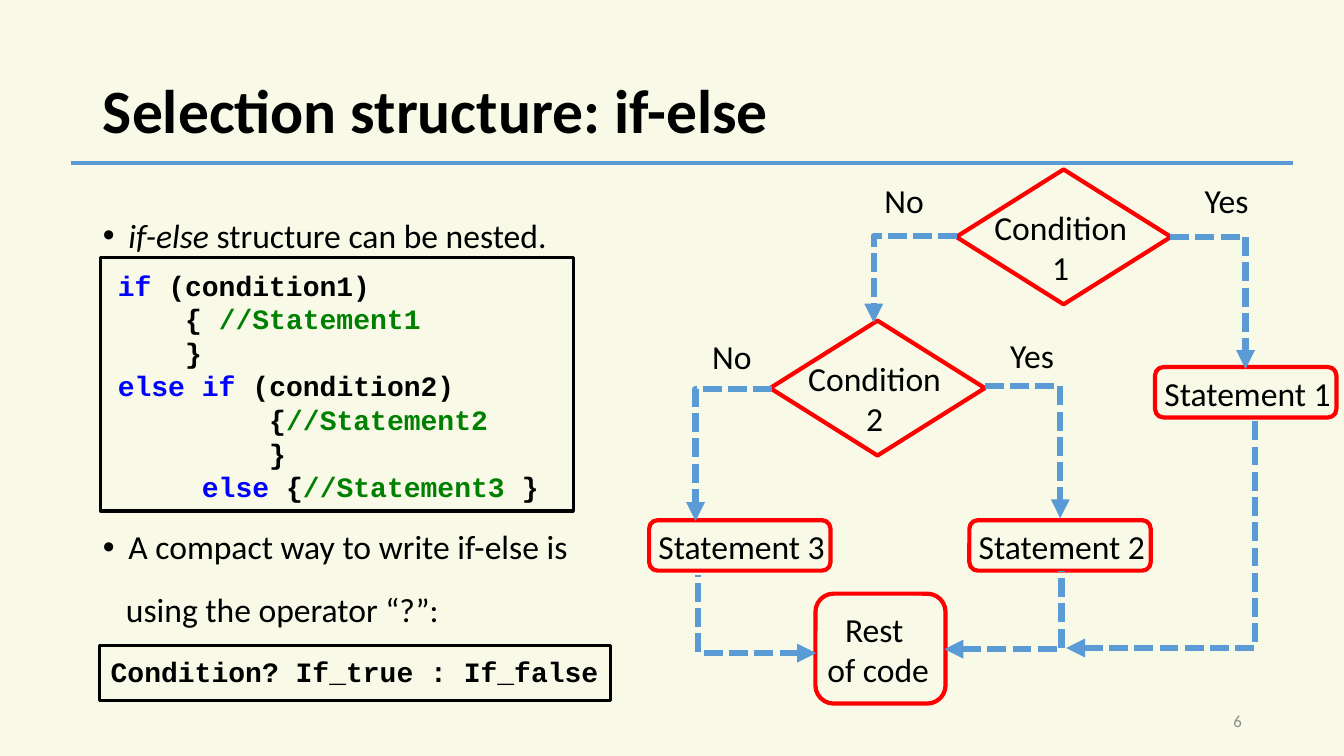
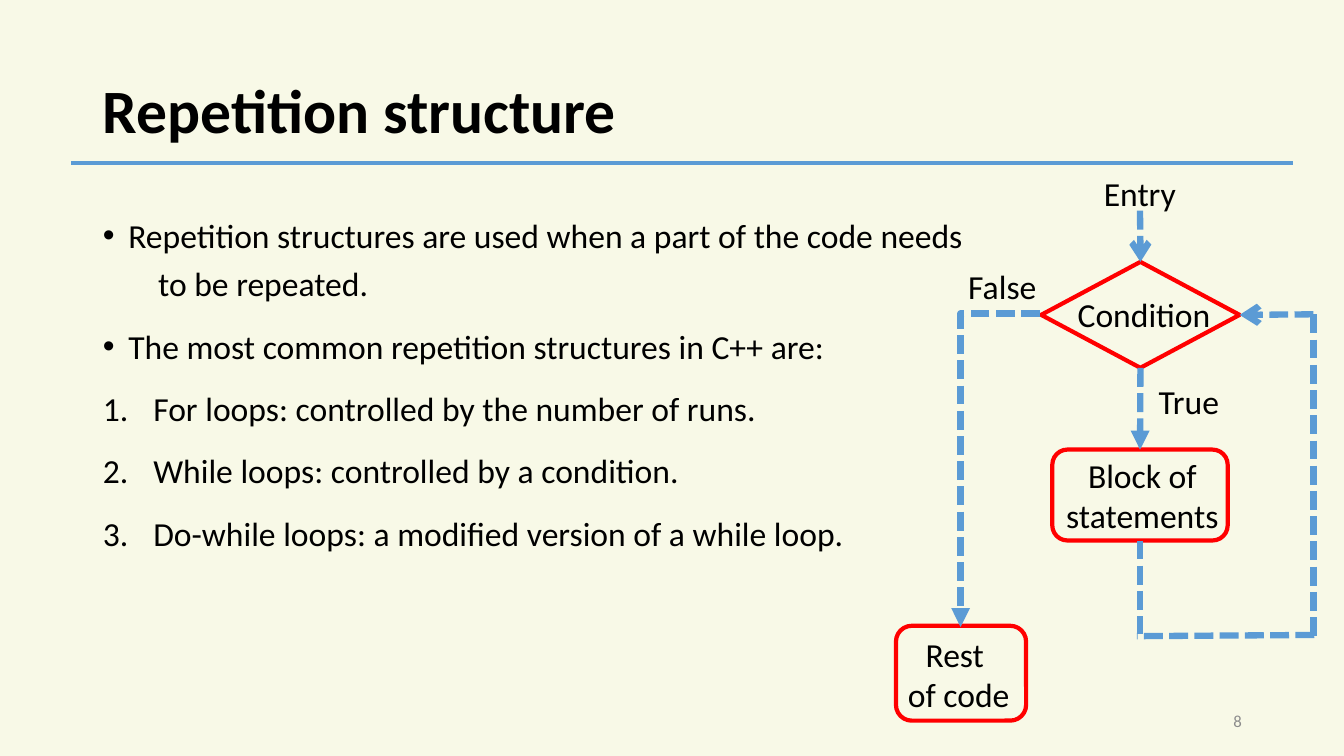
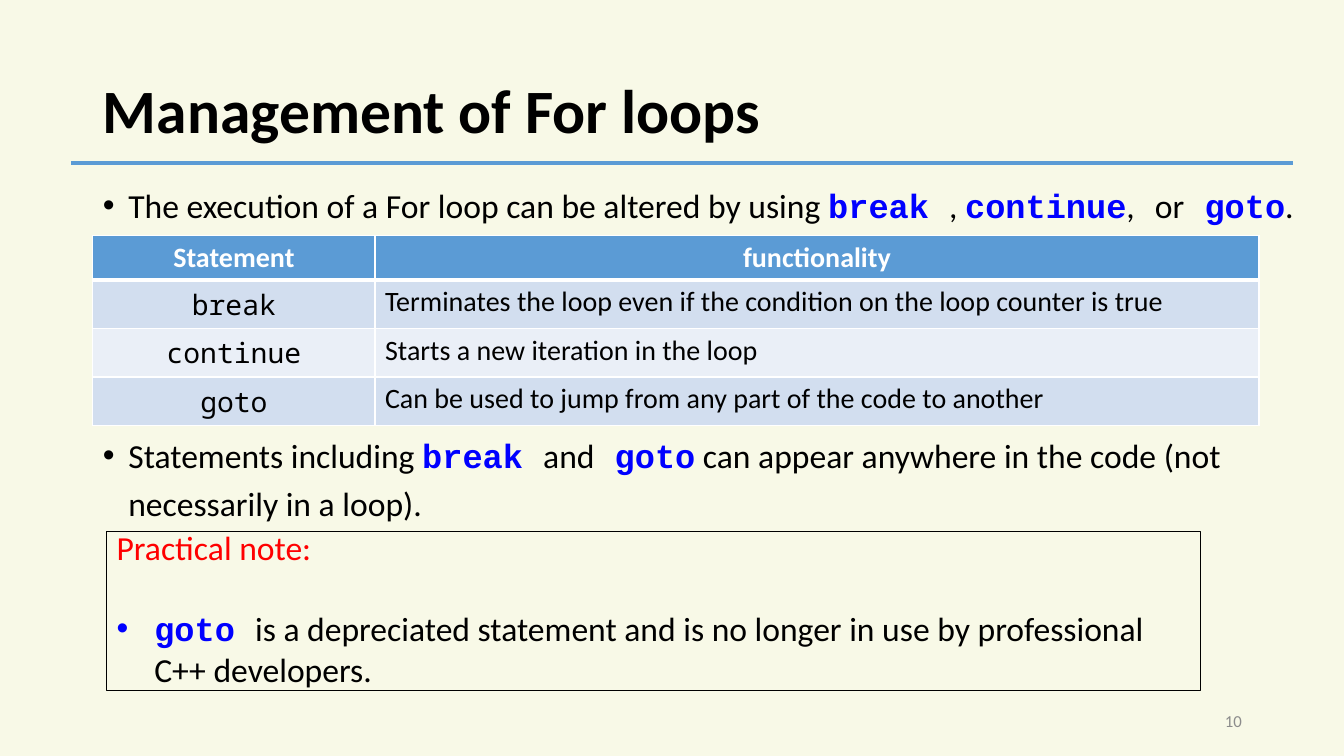
from dataclasses import dataclass

from lxml import etree
from pptx import Presentation
from pptx.dml.color import RGBColor
from pptx.enum.dml import MSO_LINE
from pptx.enum.shapes import MSO_CONNECTOR, MSO_SHAPE
from pptx.enum.text import MSO_ANCHOR, MSO_AUTO_SIZE, PP_ALIGN
from pptx.oxml.ns import qn
from pptx.util import Cm, Pt

LEFT, MID, RIGHT = PP_ALIGN.LEFT, PP_ALIGN.CENTER, PP_ALIGN.RIGHT
RECT, ROUND = MSO_SHAPE.RECTANGLE, MSO_SHAPE.ROUNDED_RECTANGLE
TEST = MSO_SHAPE.FLOWCHART_DECISION
LINE, ELBOW = MSO_CONNECTOR.STRAIGHT, MSO_CONNECTOR.ELBOW
DASH = MSO_LINE.SQUARE_DOT
CENTER, NO_FIT = MSO_ANCHOR.MIDDLE, MSO_AUTO_SIZE.NONE


@dataclass(frozen=True)
class Theme:
    paper: str = "F8F9E7"
    ink: str = "000000"
    blue: str = "5B9BD5"
    red: str = "FF0000"
    key: str = "0000FF"
    green: str = "008000"
    gray: str = "8C8C8C"
    white: str = "FFFFFF"
    bands: tuple = ("EAEFF7", "D2DEEF")
    sans: str = "Calibri"
    mono: str = "Courier New"
    cell: str = "Noto Sans Mono"
    head: int = 44
    text: int = 24
    code: int = 20
    foot: int = 12

    def look(self, kind):
        return {
            "plain": (self.sans, self.ink, False, False),
            "slant": (self.sans, self.ink, False, True),
            "bold": (self.sans, self.ink, True, False),
            "warn": (self.sans, self.red, False, False),
            "foot": (self.sans, self.gray, False, False),
            "label": (self.sans, self.white, True, False),
            "cell": (self.cell, self.ink, False, False),
            "code": (self.mono, self.ink, True, False),
            "key": (self.mono, self.key, True, False),
            "rem": (self.mono, self.green, True, False),
        }[kind]


@dataclass
class Para:
    runs: list
    mark: str = ""
    left: float = 0
    hang: float = 0
    gap: float = 0


def dot(*runs, gap=0, left=0.64):
    return Para(list(runs), "•", left, left, gap)


def step(text):
    return Para([(text, "plain")], "num", 1.27, 1.27, 10)


def rgb(code):
    return RGBColor.from_string(code)


def add(parent, tag, **attrs):
    return etree.SubElement(parent, qn(tag), attrs)


class Deck:
    def __init__(self, theme):
        self.theme = theme
        self.prs = Presentation()
        self.prs.slide_width, self.prs.slide_height = Cm(33.87), Cm(19.05)
        fill = self.prs.slide_master.background.fill
        fill.solid()
        fill.fore_color.rgb = rgb(theme.paper)
        self.slide = None

    def page(self, title, num):
        look = self.theme
        self.slide = self.prs.slides.add_slide(self.prs.slide_layouts[1])
        head = self.slide.shapes.title
        self.place(head, 2.34, 1.02, 29.21, 3.68)
        head.text_frame.vertical_anchor = CENTER
        self.put(head, [Para([(title, "bold")])], look.head, lead=0.9)
        self.line((1.8, 4.11), (32.59, 4.11), wide=3, dash=None)
        foot = self.label(num, 23.93, 17.65, 7.62, 1.02, "foot", look.foot, RIGHT)
        foot.text_frame.vertical_anchor = CENTER

    def place(self, shape, x, y, w, h):
        shape.left, shape.top, shape.width, shape.height = map(Cm, (x, y, w, h))

    def style(self, run, kind, size):
        name, color, bold, slant = self.theme.look(kind)
        font = run.font
        font.name, font.size = name, Pt(size)
        font.bold, font.italic = bold, slant
        font.color.rgb = rgb(color)

    def put(self, shape, paras, size, align=LEFT, lead=1):
        frame = shape.text_frame
        frame.word_wrap = True
        frame.auto_size = NO_FIT
        for i, para in enumerate(paras):
            item = frame.add_paragraph() if i else frame.paragraphs[0]
            props = item._p.get_or_add_pPr()
            props.set("marL", str(Cm(para.left)))
            props.set("indent", str(-Cm(para.hang)))
            if para.mark == "num":
                add(props, "a:buFont", typeface="+mj-lt")
                add(props, "a:buAutoNum", type="arabicPeriod")
            elif para.mark:
                add(props, "a:buFont", typeface="Arial")
                add(props, "a:buChar", char=para.mark)
            else:
                add(props, "a:buNone")
            item.alignment, item.line_spacing = align, lead
            item.space_before = Pt(para.gap)
            for text, kind in para.runs:
                run = item.add_run()
                run.text = text
                self.style(run, kind, size)

    def body(self, paras, x, y, w, h):
        shape = self.slide.placeholders[1]
        self.place(shape, x, y, w, h)
        self.put(shape, paras, self.theme.text, lead=1.2)

    def text(self, paras, x, y, w, h, size, align=LEFT, lead=1):
        box = self.slide.shapes.add_textbox(*map(Cm, (x, y, w, h)))
        self.put(box, paras, size, align, lead)
        return box

    def label(self, text, x, y, w, h=1.27, kind="plain", size=None, align=MID):
        paras = [Para([(row, kind)]) for row in text.split("\n")]
        return self.text(paras, x, y, w, h, size or self.theme.text, align)

    def box(self, form, x, y, w, h, color=None, wide=3):
        shape = self.slide.shapes.add_shape(form, *map(Cm, (x, y, w, h)))
        shape.shadow.inherit = False
        shape.fill.background()
        shape.line.color.rgb = rgb(color or self.theme.red)
        shape.line.width = Pt(wide)
        return shape

    def test(self, text, x, y):
        self.box(TEST, x, y, 5.41, 3.4)
        self.label(text, x + 0.6, y + 0.81, 4.06, 2.31)

    def state(self, text, x, y):
        self.box(ROUND, x, y, 4.57, 1.27)
        self.label(text, x - 0.12, y + 0.03, 4.9)

    def rest(self, x, y, h, drop):
        self.box(ROUND, x, y, 3.28, h)
        self.label("Rest \nof code", x - 0.26, y + drop, 3.68, 2.31)

    def line(self, start, end, head=None, tail=None, wide=4.5, dash=DASH, form=LINE):
        con = self.slide.shapes.add_connector(form, *map(Cm, start + end))
        con.line.color.rgb = rgb(self.theme.blue)
        con.line.width = Pt(wide)
        if dash:
            con.line.dash_style = dash
        props = con.element.spPr
        for tag, kind in (("a:headEnd", head), ("a:tailEnd", tail)):
            if kind:
                add(props.find(qn("a:ln")), tag, type=kind)
        add(props, "a:effectLst")
        return con

    def bend(self, start, end, **tips):
        con = self.line(start, end, form=ELBOW, **tips)
        con.element.spPr.find(qn("a:prstGeom")).set("prst", "bentConnector2")

    def edge(self, cell, low):
        props = cell._tc.get_or_add_tcPr()
        for tag, wide in (("a:lnL", 1), ("a:lnR", 1), ("a:lnT", 1), ("a:lnB", low)):
            side = add(props, tag, w=str(Pt(wide)))
            add(add(side, "a:solidFill"), "a:srgbClr", val=self.theme.white)

    def table(self, rows, x, y, wides, high):
        look = self.theme
        size = map(Cm, (x, y, sum(wides), high * len(rows)))
        grid = self.slide.shapes.add_table(len(rows), len(wides), *size).table
        for col, wide in zip(grid.columns, wides):
            col.width = Cm(wide)
        for r, row in enumerate(rows):
            grid.rows[r].height = Cm(high)
            for c, text in enumerate(row):
                cell = grid.cell(r, c)
                self.edge(cell, 1 if r else 3)
                cell.fill.solid()
                cell.fill.fore_color.rgb = rgb(look.bands[r % 2] if r else look.blue)
                cell.text = text
                item = cell.text_frame.paragraphs[0]
                item.alignment = LEFT if r and c else MID
                kind = ("plain" if c else "cell") if r else "label"
                self.style(item.runs[0], kind, look.code)


def nested(deck):
    look = deck.theme
    deck.page("Selection structure: if-else", "6")
    deck.body([
        dot(("if-else ", "slant"), ("structure can be nested.", "plain")),
        dot(("A compact way to write if-else is", "plain"), gap=188),
        Para([("using the operator “?”:", "plain")], left=0.58, gap=10),
    ], 2.34, 5.08, 29.21, 13.59)
    deck.test("Condition 1", 24.1, 4.27)
    deck.test("Condition 2", 19.41, 8.08)
    for num, x, y in ((1, 29.11, 9.25), (2, 24.43, 13.11), (3, 16.36, 13.11)):
        deck.state(f"Statement {num}", x, y)
    deck.rest(20.55, 14.96, 2.77, 0.25)
    for x, y in ((29.64, 4.42), (24.74, 8.31)):
        deck.label("Yes", x, y, 2.54)
    for x, y in ((21.92, 4.42), (17.58, 8.33)):
        deck.label("No", x, y, 1.73)
    for start, end in (
        ((29.49, 5.97), (31.39, 9.3)),
        ((24.13, 5.94), (22.02, 8.13)),
        ((24.82, 9.73), (26.72, 13.06)),
        ((19.46, 9.8), (17.53, 13.13)),
    ):
        deck.bend(start, end, tail="triangle")
    for start, end in (
        ((23.8, 16.36), (26.75, 14.4)),
        ((26.87, 16.33), (31.62, 10.62)),
        ((20.57, 16.46), (17.6, 14.5)),
    ):
        deck.bend(start, end, head="triangle")
    code = (
        [("if", "key"), (" (condition1)", "code")],
        [("    { ", "code"), ("//Statement1", "rem")],
        [("    }", "code")],
        [("else if", "key"), (" (condition2)", "code")],
        [("         {", "code"), ("//Statement2", "rem")],
        [("         }", "code")],
        [("     else ", "key"), ("{", "code"), ("//Statement3 ", "rem"), ("}", "code")],
    )
    deck.box(RECT, 2.54, 6.48, 11.91, 6.4, look.ink, 2.25)
    deck.text([Para(runs) for runs in code], 2.72, 6.63, 12.24, 7.09, look.code)
    deck.box(RECT, 2.51, 16.26, 12.88, 1.4, look.ink, 2.25)
    deck.label("Condition? If_true : If_false", 2.54, 16.36, 12.98, 1.96,
               "code", look.code, LEFT)


def loops(deck):
    deck.page("Repetition structure", "8")
    first = "Repetition structures are used when a part of the code needs"
    deck.body([
        dot((first, "plain")),
        Para([("to be repeated.", "plain")], left=1.39),
        dot(("The most common repetition structures in C++ are:", "plain"), gap=10),
        step("For loops: controlled by the number of runs."),
        step("While loops: controlled by a condition."),
        step("Do-while loops: a modified version of a while loop."),
    ], 2.34, 5.08, 29.21, 12.09)
    test = deck.box(TEST, 26.24, 6.6, 5, 2.67)
    block = deck.box(ROUND, 26.52, 11.33, 4.42, 2.29)
    deck.rest(22.58, 15.77, 2.39, 0.08)
    deck.label("Condition", 26.8, 7.29, 4.06)
    deck.label("Block of statements", 26.34, 11.33, 4.9, 2.31)
    deck.label("Entry", 27.48, 4.22, 2.49)
    deck.label("True", 28.73, 9.47, 2.46)
    deck.label("False", 24.03, 6.58, 2.46)
    deck.line((28.73, 5.31), (28.74, 6.6), tail="arrow").end_connect(test, 0)
    down = deck.line((28.74, 9.27), (28.73, 11.33), tail="triangle")
    down.begin_connect(test, 2)
    down.end_connect(block, 0)
    deck.bend((26.21, 7.9), (24.21, 15.8), tail="triangle")
    deck.line((28.73, 13.62), (28.73, 15.98)).begin_connect(block, 2)
    deck.line((33.12, 16), (28.65, 16.03))
    deck.line((33.1, 7.92), (33.1, 16.1))
    deck.line((33.1, 7.92), (31.24, 7.93), tail="arrow").end_connect(test, 3)


def manage(deck):
    look = deck.theme
    deck.page("Management of For loops", "10")
    deck.body([
        dot(("The execution of a For loop can be altered by using ", "plain"),
            ("break ", "key"), (", ", "plain"), ("continue", "key"), (",", "plain"),
            (" ", "key"), ("or", "plain"), (" goto", "key"), (".", "plain")),
        dot(("Statements including ", "plain"), ("break ", "key"), ("and", "plain"),
            (" goto", "key"),
            (" can appear anywhere in the code (not necessarily in a loop).", "plain"),
            gap=144),
    ], 2.34, 4.32, 30.53, 14.35)
    deck.table([
        ("Statement", "functionality"),
        ("break", "Terminates the loop even if the condition on the loop counter is true"),
        ("continue", "Starts a new iteration in the loop"),
        ("goto", "Can be used to jump from any part of the code to another"),
    ], 2.34, 5.94, (7.11, 22.28), 1.1)
    deck.box(RECT, 2.69, 13.39, 27.56, 4.01, look.ink, 0.75)
    note = "is a depreciated statement and is no longer in use by professional C++ developers."
    deck.text([
        Para([("Practical note:", "warn")]),
        dot(("goto ", "key"), (note, "plain"), gap=29, left=0.95),
    ], 2.69, 13.16, 26.44, 5.38, look.text)


def main():
    deck = Deck(Theme())
    for draw in (nested, loops, manage):
        draw(deck)
    deck.prs.save("out.pptx")


if __name__ == "__main__":
    main()
